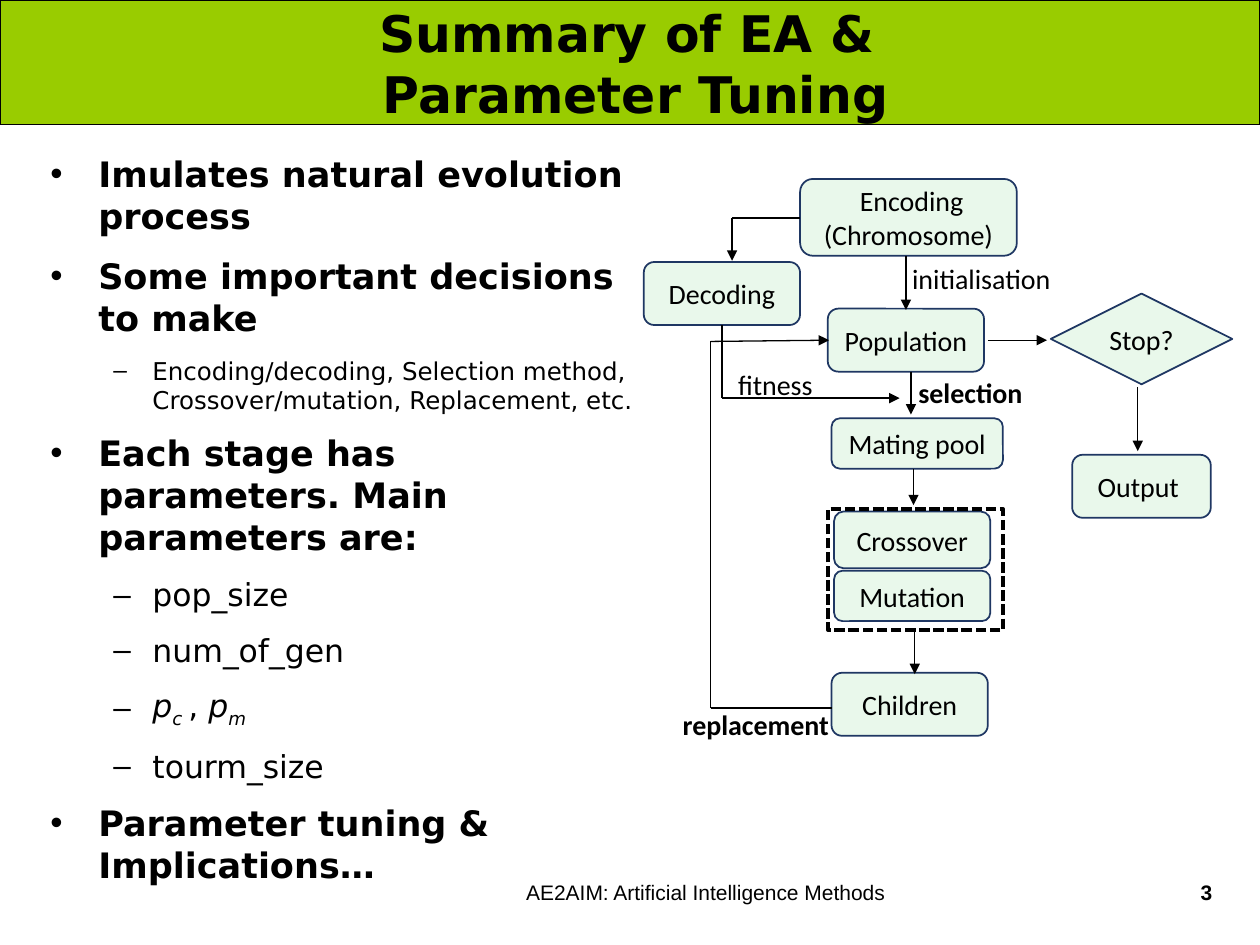
"""Build a slide that sums up evolutionary algorithms beside their flow chart."""
from dataclasses import dataclass

from lxml import etree
from pptx import Presentation
from pptx.dml.color import RGBColor
from pptx.enum.dml import MSO_LINE
from pptx.enum.shapes import MSO_CONNECTOR, MSO_SHAPE
from pptx.enum.text import MSO_ANCHOR, MSO_AUTO_SIZE, PP_ALIGN
from pptx.oxml.ns import qn
from pptx.util import Inches, Pt

LEFT, CENTER, RIGHT = PP_ALIGN.LEFT, PP_ALIGN.CENTER, PP_ALIGN.RIGHT
RECTANGLE, DIAMOND = MSO_SHAPE.RECTANGLE, MSO_SHAPE.DIAMOND
ROUNDED = MSO_SHAPE.ROUNDED_RECTANGLE
COLORS = {"banner": "99CC00", "ink": "000000", "node": "E9F8EB", "edge": "1F3763"}
HEADING_FONT, CHART_FONT, FOOTER_FONT = "DejaVu Sans", "Calibri", "Arial"


@dataclass
class Node:
    text: str
    left: float
    top: float
    width: float = 1.24
    height: float = 0.5
    kind: int = ROUNDED


@dataclass
class Line:
    start: tuple[float, float]
    end: tuple[float, float]
    arrow: bool = True


@dataclass
class Label:
    text: str
    left: float
    top: float
    width: float
    height: float = 0.4
    bold: bool = False
    size: float = 16
    font: str = CHART_FONT
    align: int = LEFT


@dataclass
class Bullet:
    runs: list[str]
    level: int = 0
    size: float = 20


NODES = [
    Node(" Encoding\n(Chromosome)", 6.35, 1.42, 1.72, 0.61),
    Node("Decoding", 5.11, 2.08),
    Node("Population", 6.57, 2.45),
    Node("Stop?", 8.34, 2.33, 1.44, 0.72, DIAMOND),
    Node("Output ", 8.51, 3.61, 1.1),
    Node("Mating pool", 6.6, 3.32, 1.36, 0.4),
    Node("Crossover", 6.62, 4.06, height=0.45),
    Node("Mutation", 6.62, 4.53, height=0.4),
    Node("Children", 6.6, 5.34),
]
LINES = [
    Line((6.35, 1.73), (5.81, 1.73), False),
    Line((5.81, 1.73), (5.81, 2.07)),
    Line((7.19, 2.03), (7.19, 2.46)),
    Line((7.84, 2.7), (8.31, 2.7)),
    Line((9.03, 3.07), (9.03, 3.58)),
    Line((5.73, 2.58), (5.73, 3.16), False),
    Line((5.73, 3.16), (7.14, 3.16)),
    Line((7.23, 2.95), (7.23, 3.29)),
    Line((7.25, 3.72), (7.25, 4.01)),
    Line((7.26, 5.01), (7.26, 5.35)),
    Line((6.6, 5.62), (5.64, 5.62), False),
    Line((5.64, 5.62), (5.64, 2.71), False),
    Line((5.64, 2.71), (6.58, 2.7)),
]
LABELS = [
    Label("initialisation", 7.14, 2.03, 1.72),
    Label("fitness", 5.76, 2.87, 0.86),
    Label("selection", 7.19, 2.93, 1.13, bold=True),
    Label("replacement", 5.32, 5.57, 1.39, bold=True),
    Label("AE2AIM: Artificial Intelligence Methods ", 2.87, 6.93, 5.51, 0.52,
          size=12, font=FOOTER_FONT, align=CENTER),
    Label("3", 8.62, 6.93, 1.1, 0.52, True, 12, FOOTER_FONT, RIGHT),
]
BULLETS = [
    Bullet(["Imulates natural evolution process"]),
    Bullet(["Some important decisions to make"]),
    Bullet(["Encoding/decoding, Selection method, Crossover/mutation, Replacement, etc."], 1, 14),
    Bullet(["Each stage has parameters. Main parameters are:"]),
    Bullet(["pop_size"], 1, 18),
    Bullet(["num_of_gen"], 1, 18),
    Bullet(["p", "c ", ", ", "p", "m"], 1, 18),
    Bullet(["tourm_size"], 1, 18),
    Bullet(["Parameter tuning & Implications…"]),
]
SUBSCRIPTS = ("c ", "m")
ITALICS = ("p", *SUBSCRIPTS)
INDENTS = [("•", 0.38, -0.38), ("–", 0.81, -0.31)]


def color(name: str) -> RGBColor:
    return RGBColor.from_string(COLORS[name])


def set_font(paragraph, name: str, size: float, bold: bool = False) -> None:
    font = paragraph.font
    font.name, font.size, font.bold = name, Pt(size), bold
    font.color.rgb = color("ink")


def place(shape, left: float, top: float, width: float, height: float) -> None:
    shape.left, shape.top = Inches(left), Inches(top)
    shape.width, shape.height = Inches(width), Inches(height)


def add_box(slide, kind: int, box: tuple, fill: str | None, edge: str, weight: float):
    shape = slide.shapes.add_shape(kind, *map(Inches, box))
    shape.shadow.inherit = False
    if fill:
        shape.fill.solid()
        shape.fill.fore_color.rgb = color(fill)
    else:
        shape.fill.background()
    shape.line.color.rgb = color(edge)
    shape.line.width = Pt(weight)
    return shape


def add_node(slide, node: Node) -> None:
    box = (node.left, node.top, node.width, node.height)
    shape = add_box(slide, node.kind, box, "node", "edge", 1)
    frame = shape.text_frame
    frame.text = node.text
    frame.vertical_anchor = MSO_ANCHOR.MIDDLE
    if node.kind == DIAMOND:
        frame.margin_left = frame.margin_right = 0
    for paragraph in frame.paragraphs:
        paragraph.alignment = CENTER
        set_font(paragraph, CHART_FONT, 16)


def add_line(slide, line: Line) -> None:
    points = map(Inches, (*line.start, *line.end))
    connector = slide.shapes.add_connector(MSO_CONNECTOR.STRAIGHT, *points)
    connector.line.color.rgb = color("ink")
    connector.line.width = Pt(0.75)
    if line.arrow:
        outline = connector.line._get_or_add_ln()
        etree.SubElement(outline, qn("a:tailEnd"), type="triangle")
    etree.SubElement(connector._element.spPr, qn("a:effectLst"))


def add_label(slide, label: Label) -> None:
    box = (label.left, label.top, label.width, label.height)
    frame = slide.shapes.add_textbox(*map(Inches, box)).text_frame
    frame.word_wrap = True
    paragraph = frame.paragraphs[0]
    paragraph.text = label.text
    paragraph.alignment = label.align
    set_font(paragraph, label.font, label.size, label.bold)


def fill_bullet(paragraph, bullet: Bullet, space_before: float) -> None:
    character, margin, indent = INDENTS[bullet.level]
    paragraph.level = bullet.level
    properties = paragraph._p.get_or_add_pPr()
    properties.set("marL", str(Inches(margin)))
    properties.set("indent", str(Inches(indent)))
    etree.SubElement(properties, qn("a:buChar"), char=character)
    paragraph.space_before = Pt(space_before)
    set_font(paragraph, HEADING_FONT, bullet.size, bullet.level == 0)
    for text in bullet.runs:
        run = paragraph.add_run()
        run.text = text
        if text in ITALICS:
            run.font.italic = True
        if text in SUBSCRIPTS:
            run.font._element.set("baseline", "-25000")


def main() -> None:
    presentation = Presentation()
    presentation.slide_width, presentation.slide_height = Inches(10), Inches(7.5)
    slide = presentation.slides.add_slide(presentation.slide_layouts[1])
    title, body = slide.placeholders
    banner = add_box(slide, RECTANGLE, (0, 0, 10, 0.99), "banner", "ink", 0.75)
    title._element.addprevious(banner._element)

    place(title, 0.28, 0.08, 9.53, 0.84)
    title.text_frame.text = "Summary of EA & \vParameter Tuning"
    title.text_frame.vertical_anchor = MSO_ANCHOR.MIDDLE
    title.text_frame.auto_size = MSO_AUTO_SIZE.NONE
    title.text_frame.paragraphs[0].alignment = CENTER
    set_font(title.text_frame.paragraphs[0], HEADING_FONT, 28.8, True)

    place(body, 0.3, 1.16, 4.93, 5.27)
    frame = body.text_frame
    frame.auto_size = MSO_AUTO_SIZE.NONE
    for index, bullet in enumerate(BULLETS):
        paragraph = frame.add_paragraph() if index else frame.paragraphs[0]
        fill_bullet(paragraph, bullet, 10 if index else 0)

    for node in NODES:
        add_node(slide, node)
    stage = add_box(slide, RECTANGLE, (6.57, 4.04, 1.39, 0.96), None, "ink", 2)
    stage.line.dash_style = MSO_LINE.SQUARE_DOT
    for line in LINES:
        add_line(slide, line)
    for label in LABELS:
        add_label(slide, label)
    presentation.save("out.pptx")


if __name__ == "__main__":
    main()
